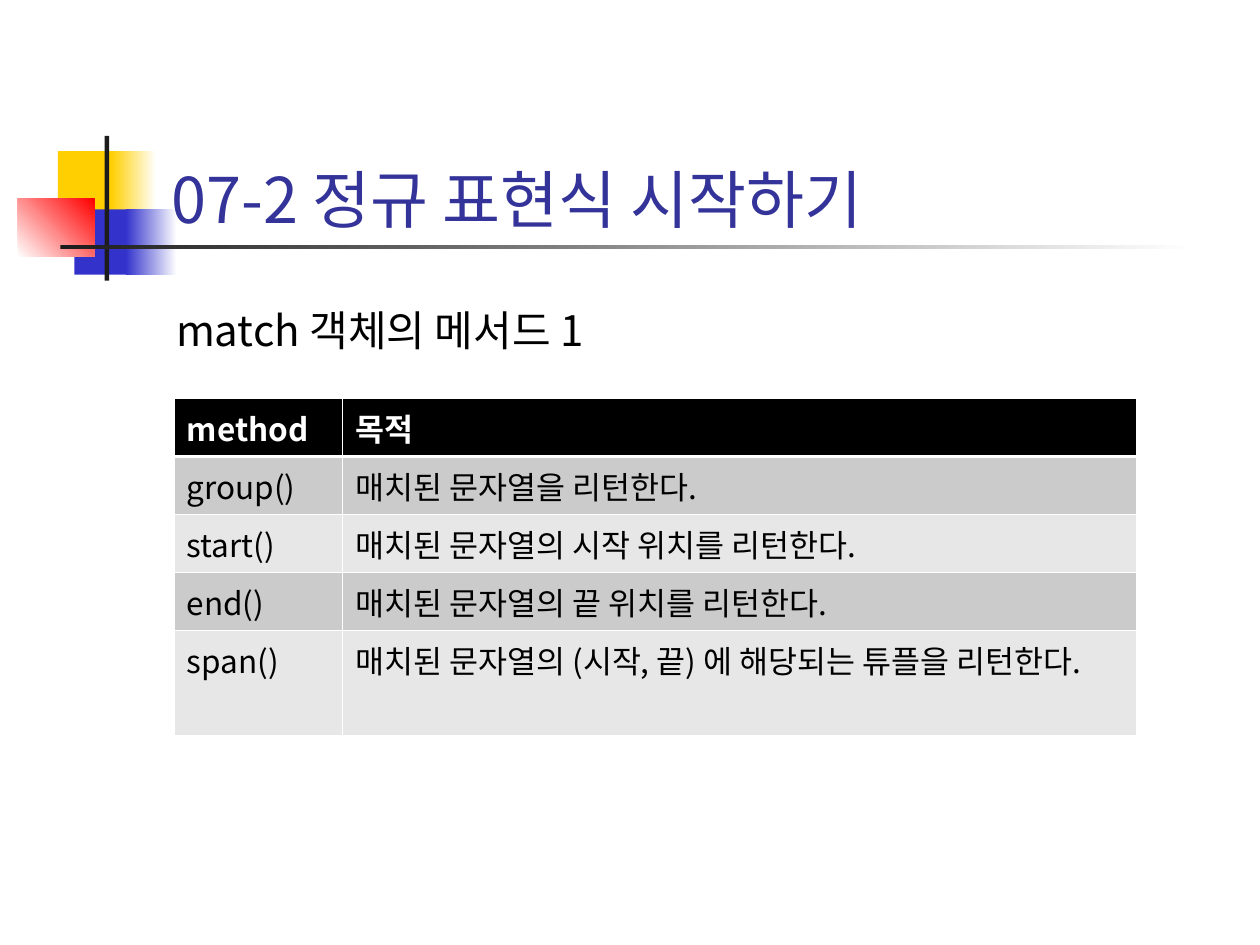
from lxml.etree import SubElement
from pptx import Presentation
from pptx.dml.color import RGBColor
from pptx.enum.shapes import MSO_SHAPE
from pptx.enum.text import MSO_ANCHOR, MSO_AUTO_SIZE, PP_ALIGN
from pptx.oxml import parse_xml
from pptx.oxml.ns import nsdecls, qn
from pptx.util import Cm, Pt

FONT = "Noto Sans CJK KR"
TITLE = "07-2 정규 표현식 시작하기"
SUBTITLE = "match 객체의 메서드 1"
METHODS = [
    ("method", "목적"),
    ("group()", "매치된 문자열을 리턴한다."),
    ("start()", "매치된 문자열의 시작 위치를 리턴한다."),
    ("end()", "매치된 문자열의 끝 위치를 리턴한다."),
    ("span()", "매치된 문자열의 (시작, 끝) 에 해당되는 튜플을 리턴한다."),
]
COLUMN_WIDTHS = (3.4, 16)
ROW_HEIGHTS = (1.17, 1.17, 1.17, 1.17, 2.11)
HEADER_FILL, BAND_FILLS = "000000", ("CBCBCB", "E7E7E7")
THIN, THICK = 0.45, 1.47

# left, top, width, height in cm; colours from start to end; gradient angle
ORNAMENTS = [
    (1.17, 3.05, 1.22, 1.32, ["FFCF01"], 0),
    (2.24, 3.05, 0.91, 1.32, ["FFCF01", "FFFFFF"], 0),
    (1.5, 4.22, 1.17, 1.32, ["3333CC"], 0),
    (2.54, 4.22, 1.02, 1.32, ["3333CC", "FFFFFF"], 0),
    (0.36, 4.01, 1.55, 1.17, ["FFFFFF", "FF0000"], 45),
    (2.11, 2.74, 0.09, 2.92, ["1C1C1C"], 0),
    (1.22, 4.94, 22.86, 0.09, ["1C1C1C", "FFFFFF"], 0),
]


def rgb(code):
    return RGBColor.from_string(code)


def write(frame, text, size, color, bold=False):
    frame.text = text
    paragraph = frame.paragraphs[0]
    paragraph.alignment = PP_ALIGN.LEFT
    font = paragraph.font
    font.name, font.size, font.bold = FONT, Pt(size), bold
    font.color.rgb = rgb(color)
    # Korean letters take their typeface from a:ea
    properties = paragraph.font._element
    SubElement(properties, qn("a:ea")).set("typeface", FONT)
    return paragraph


def add_ornament(slide, left, top, width, height, colors, angle):
    block = slide.shapes.add_shape(
        MSO_SHAPE.RECTANGLE, Cm(left), Cm(top), Cm(width), Cm(height))
    block.shadow.inherit = False
    block.line.fill.background()
    if len(colors) == 1:
        block.fill.solid()
        block.fill.fore_color.rgb = rgb(colors[0])
        return
    block.fill.gradient()
    block.fill.gradient_angle = angle
    for stop, color in zip(block.fill.gradient_stops, colors):
        stop.color.rgb = rgb(color)


def set_borders(cell, top, bottom):
    """Draw white cell borders; top and bottom are widths in points."""
    widths = {"lnL": THIN, "lnR": THIN, "lnT": top, "lnB": bottom}
    properties = cell._tc.get_or_add_tcPr()
    for position, (side, width) in enumerate(widths.items()):
        properties.insert(position, parse_xml(
            f'<a:{side} {nsdecls("a")} w="{Pt(width)}"><a:solidFill>'
            f'<a:srgbClr val="FFFFFF"/></a:solidFill></a:{side}>'))


def add_method_table(slide, left, top):
    table = slide.shapes.add_table(
        len(METHODS), len(COLUMN_WIDTHS), Cm(left), Cm(top),
        Cm(sum(COLUMN_WIDTHS)), Cm(sum(ROW_HEIGHTS))).table
    for column, width in zip(table.columns, COLUMN_WIDTHS):
        column.width = Cm(width)
    for r, (height, entries) in enumerate(zip(ROW_HEIGHTS, METHODS)):
        table.rows[r].height = Cm(height)
        header = r == 0
        for c, entry in enumerate(entries):
            cell = table.cell(r, c)
            write(cell.text_frame, entry, 18,
                  "FFFFFF" if header else "000000", bold=header)
            cell.fill.solid()
            cell.fill.fore_color.rgb = rgb(
                HEADER_FILL if header else BAND_FILLS[(r - 1) % 2])
            set_borders(cell, THICK if r == 1 else THIN,
                        THICK if header else THIN)


def main():
    presentation = Presentation()
    presentation.slide_width, presentation.slide_height = Cm(25.4), Cm(19.05)
    slide = presentation.slides.add_slide(presentation.slide_layouts[5])

    for ornament in ORNAMENTS:
        add_ornament(slide, *ornament)

    title = slide.shapes.title
    slide.shapes.element.append(title.element)  # in front of the ornaments
    title.left, title.top = Cm(3.2), Cm(1.7)
    title.width, title.height = Cm(19.71), Cm(3.18)
    write(title.text_frame, TITLE, 36, "333399")
    title.text_frame.vertical_anchor = MSO_ANCHOR.BOTTOM
    title.text_frame.auto_size = MSO_AUTO_SIZE.NONE

    subtitle = slide.shapes.add_textbox(Cm(3.3), Cm(6.02), Cm(19.61), Cm(1.3))
    subtitle.text_frame.word_wrap = True
    write(subtitle.text_frame, SUBTITLE, 24, "000000").space_before = Pt(6)

    add_method_table(slide, 3.51, 8.03)
    presentation.save("out.pptx")


if __name__ == "__main__":
    main()
